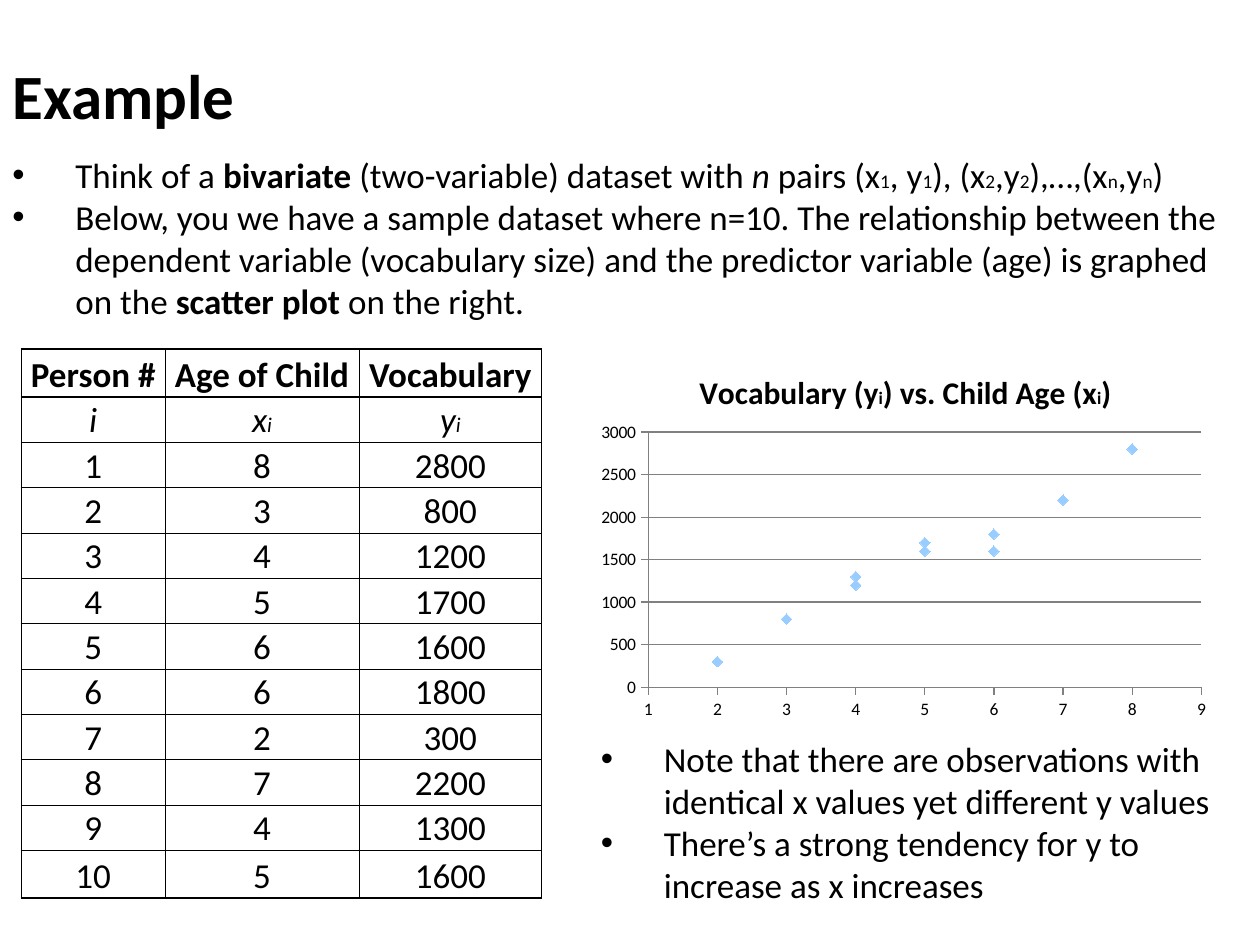
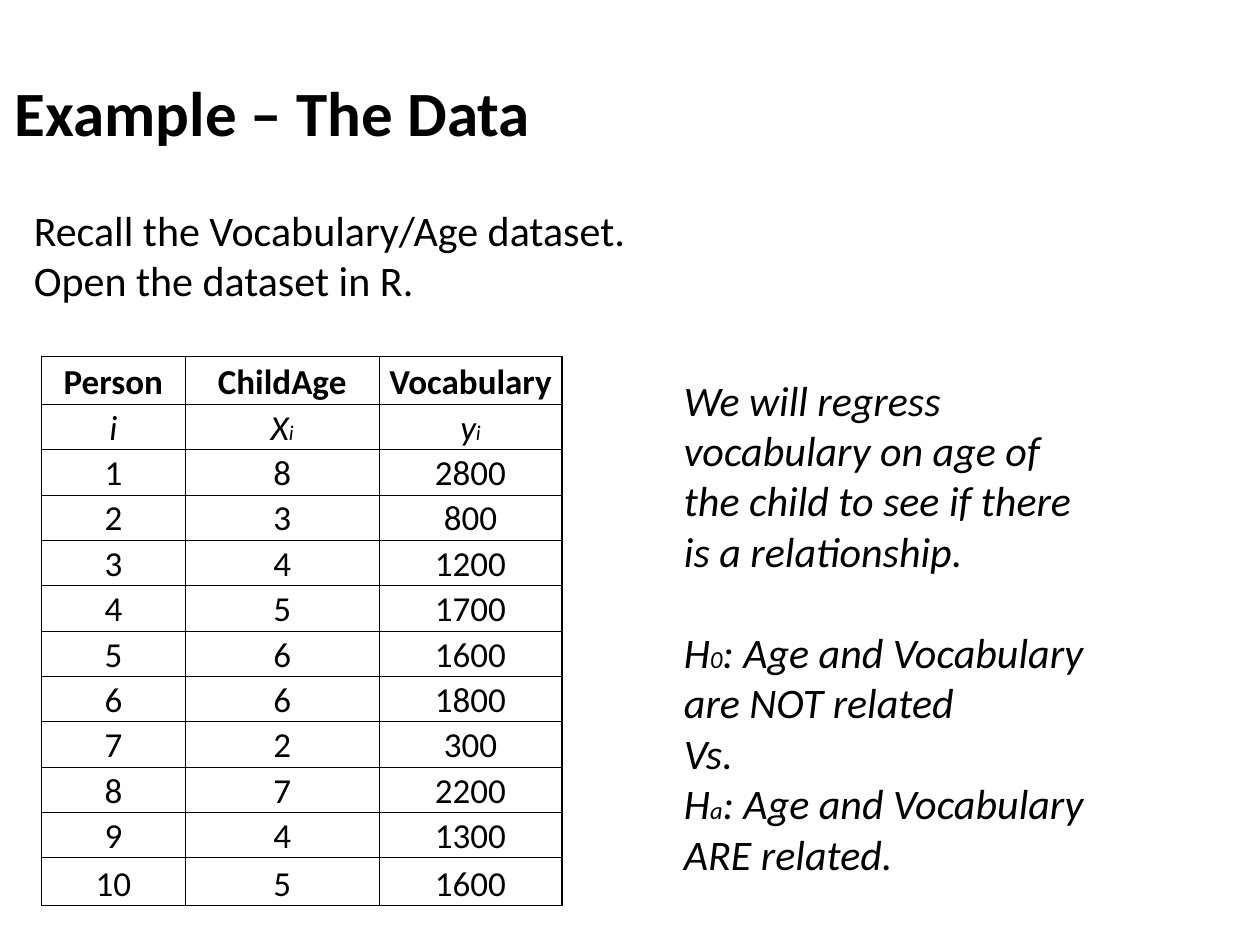
from dataclasses import dataclass
from typing import NamedTuple

from lxml import etree
from pptx import Presentation
from pptx import util as u
from pptx.chart import data as chart_data
from pptx.dml import color
from pptx.enum import chart as charts, text
from pptx.oxml import ns


@dataclass(frozen=True)
class Theme:
    font: str = "Calibri"
    ink: str = "000000"
    marker: str = "99CCFF"
    grid: str = "808080"
    title: int = 36
    chart_title: int = 18
    chart_subscript: int = 10
    statement: int = 24
    statement_subscript: int = 14
    body: int = 20
    body_subscript: int = 11
    cell_subscript: int = 12
    axis: int = 10
    heavy: float = 1
    thin: float = 0.5


class Span(NamedTuple):
    text: str
    size: float
    bold: bool = False
    italic: bool = False


class Para(NamedTuple):
    spans: list[Span]
    bullet: bool = False
    centred: bool = False
    space_before: float = 0


class Area(NamedTuple):
    left: float
    top: float
    width: float
    height: float

    def inches(self) -> list[u.Length]:
        return [u.Inches(value) for value in self]


THEME = Theme()
AGES = [8, 3, 4, 5, 6, 6, 2, 7, 4, 5]
VOCABULARY = [2800, 800, 1200, 1700, 1600, 1800, 300, 2200, 1300, 1600]
COLUMN_WIDTHS = [1.14, 1.54, 1.45]
EDGE_ROW, INNER_ROW = 0.38, 0.36


def rgb(value: str) -> color.RGBColor:
    return color.RGBColor.from_string(value)


def with_subscripts(pieces: str, size: float, small: float,
                    bold: bool = False, italic: bool = False) -> list[Span]:
    """Split at underscores; every second piece is a small index."""
    return [Span(piece, small if index % 2 else size, bold, italic)
            for index, piece in enumerate(pieces.split("_"))]


def add_bullet(para) -> None:
    properties = para._p.get_or_add_pPr()
    properties.set("marL", str(u.Inches(0.5)))
    properties.set("indent", str(-u.Inches(0.5)))
    etree.SubElement(properties, ns.qn("a:buFont"), typeface="Arial")
    etree.SubElement(properties, ns.qn("a:buChar"), char="•")


def write(frame, paras: list[Para]) -> None:
    for index, item in enumerate(paras):
        para = frame.add_paragraph() if index else frame.paragraphs[0]
        if item.bullet:
            add_bullet(para)
        if item.space_before:
            para.space_before = u.Pt(item.space_before)
        para.alignment = text.PP_ALIGN.CENTER if item.centred else text.PP_ALIGN.LEFT
        for span in item.spans:
            run = para.add_run()
            run.text = span.text
            run.font.name = THEME.font
            run.font.size = u.Pt(span.size)
            run.font.bold = span.bold
            run.font.italic = span.italic
            run.font.color.rgb = rgb(THEME.ink)


def add_text(page, area: Area, paras: list[Para], anchor=text.MSO_ANCHOR.TOP) -> None:
    frame = page.shapes.add_textbox(*area.inches()).text_frame
    frame.word_wrap = True
    frame.vertical_anchor = anchor
    write(frame, paras)


def add_title(page, area: Area, title: str) -> None:
    add_text(page, area, [Para([Span(title, THEME.title, bold=True)])],
             text.MSO_ANCHOR.MIDDLE)


def set_borders(cell, heavy_sides: dict[str, bool]) -> None:
    properties = cell._tc.get_or_add_tcPr()
    for side, heavy in heavy_sides.items():
        width = u.Pt(THEME.heavy if heavy else THEME.thin)
        line = etree.SubElement(properties, ns.qn(f"a:ln{side}"), w=str(width))
        fill = etree.SubElement(line, ns.qn("a:solidFill"))
        etree.SubElement(fill, ns.qn("a:srgbClr"), val=THEME.ink)


def add_dataset_table(page, left: float, top: float, headings: list[str],
                      age_symbol: str) -> None:
    header = [[Span(heading, THEME.body, bold=True)] for heading in headings]
    symbols = [with_subscripts(symbol, THEME.body, THEME.cell_subscript, italic=True)
               for symbol in ("i", f"{age_symbol}_i", "y_i")]
    records = [[[Span(str(value), THEME.body)] for value in record]
               for record in zip(range(1, len(AGES) + 1), AGES, VOCABULARY)]
    rows = [header, symbols, *records]
    last_row, last_column = len(rows) - 1, len(COLUMN_WIDTHS) - 1
    heights = [EDGE_ROW if row in (0, last_row) else INNER_ROW for row in range(len(rows))]
    area = Area(left, top, sum(COLUMN_WIDTHS), sum(heights))
    table = page.shapes.add_table(len(rows), len(COLUMN_WIDTHS), *area.inches()).table
    table.first_row = table.horz_banding = False
    for column, width in zip(table.columns, COLUMN_WIDTHS):
        column.width = u.Inches(width)
    for row, (entries, height) in enumerate(zip(rows, heights)):
        table.rows[row].height = u.Inches(height)
        for column, spans in enumerate(entries):
            cell = table.cell(row, column)
            cell.margin_left = cell.margin_right = 0
            cell.margin_top = cell.margin_bottom = 0
            cell.vertical_anchor = text.MSO_ANCHOR.BOTTOM
            write(cell.text_frame, [Para(spans, centred=True)])
            set_borders(cell, {"L": column == 0, "R": column == last_column,
                               "T": row in (0, 1), "B": row in (0, last_row)})
            cell.fill.background()


def place(element, index: int, **settings: object) -> None:
    """Give a chart part a manual layout."""
    previous = element.find(ns.qn("c:layout"))
    if previous is not None:
        element.remove(previous)
    layout = etree.Element(ns.qn("c:layout"))
    manual = etree.SubElement(layout, ns.qn("c:manualLayout"))
    for name, value in settings.items():
        etree.SubElement(manual, ns.qn(f"c:{name}"), val=str(value))
    element.insert(index, layout)


def style_axis(axis, low: float, high: float, step: float) -> None:
    axis.minimum_scale, axis.maximum_scale, axis.major_unit = low, high, step
    axis.major_tick_mark = charts.XL_TICK_MARK.OUTSIDE
    axis.minor_tick_mark = charts.XL_TICK_MARK.NONE
    axis.format.line.color.rgb = rgb(THEME.grid)
    axis.tick_labels.font.name = THEME.font
    axis.tick_labels.font.size = u.Pt(THEME.axis)
    axis.tick_labels.font.color.rgb = rgb(THEME.ink)


def add_scatter_plot(page, area: Area) -> None:
    points = chart_data.XyChartData()
    series_data = points.add_series("Series 1")
    for age, words in zip(AGES, VOCABULARY):
        series_data.add_data_point(age, words)
    chart = page.shapes.add_chart(charts.XL_CHART_TYPE.XY_SCATTER,
                                  *area.inches(), points).chart
    chart.has_legend = False
    chart.font.name = "Times New Roman"
    chart.font.size = u.Pt(THEME.axis)
    chart.font.color.rgb = rgb(THEME.ink)

    chart.has_title = True
    title = with_subscripts("Vocabulary (y_i_) vs. Child Age (x_i_)",
                            THEME.chart_title, THEME.chart_subscript, bold=True)
    write(chart.chart_title.text_frame, [Para(title, centred=True)])
    place(chart.chart_title._element, 1, xMode="edge", yMode="edge", x=0.17, y=0.05)
    place(chart._chartSpace.chart.plotArea, 0, layoutTarget="inner",
          xMode="edge", yMode="edge", x=0.095, y=0.22, w=0.878, h=0.675)

    style_axis(chart.category_axis, 1, 9, 1)
    style_axis(chart.value_axis, 0, 3000, 500)
    chart.category_axis.has_major_gridlines = False
    chart.value_axis.has_major_gridlines = True
    chart.value_axis.major_gridlines.format.line.color.rgb = rgb(THEME.grid)

    plot = chart.plots[0]
    plot.vary_by_categories = False
    series = plot.series[0]
    series.smooth = False
    series.format.line.fill.background()
    series.marker.style = charts.XL_MARKER_STYLE.DIAMOND
    series.marker.size = 6
    series.marker.format.fill.solid()
    series.marker.format.fill.fore_color.rgb = rgb(THEME.marker)
    series.marker.format.line.color.rgb = rgb(THEME.marker)


def build_example(page) -> None:
    size = THEME.body
    add_title(page, Area(0, 0.33, 9.25, 0.83), "Example")
    add_text(page, Area(0, 1.17, 10, 2.12), [
        Para([Span("Think of a ", size), Span("bivariate ", size, bold=True),
              Span("(two-variable) dataset with ", size), Span("n", size, italic=True),
              *with_subscripts(" pairs (x_1_, y_1_), (x_2_,y_2_),…,(x_n_,y_n_)",
                               size, THEME.body_subscript)], bullet=True),
        Para([Span("Below, you we have a sample dataset where n=10. The relationship "
                   "between the dependent variable (vocabulary size) and the predictor "
                   "variable (age) is graphed on the ", size),
              Span("scatter plot ", size, bold=True),
              Span("on the right.", size)], bullet=True),
    ])
    add_scatter_plot(page, Area(4.67, 2.77, 5, 3))
    add_dataset_table(page, 0.17, 2.77, ["Person #", "Age of Child", "Vocabulary"], "x")
    notes = ["Note that there are observations with identical x values yet different y values",
             "There’s a strong tendency for y to increase as x increases"]
    add_text(page, Area(4.67, 5.8, 5.08, 1.45),
             [Para([Span(note, size)], bullet=True) for note in notes])


def build_data(page) -> None:
    size = THEME.statement
    add_title(page, Area(0.02, 0.47, 8.67, 0.83), "Example – The Data")
    steps = ["Recall the Vocabulary/Age dataset.", "Open the dataset in R."]
    add_text(page, Area(0.17, 1.57, 9.42, 0.91),
             [Para([Span(step, size)]) for step in steps])
    add_dataset_table(page, 0.33, 2.83, ["Person", "ChildAge", "Vocabulary"], "X")
    statements = {
        "We will regress vocabulary on age of the child to see if there is a relationship.": 0,
        "H_0_: Age and Vocabulary are NOT related": 29,
        "Vs.": 0,
        "H_a_: Age and Vocabulary ARE related.": 0,
    }
    add_text(page, Area(5.33, 2.92, 3.5, 4.14), [
        Para(with_subscripts(words, size, THEME.statement_subscript, italic=True),
             space_before=gap)
        for words, gap in statements.items()])


def main() -> None:
    deck = Presentation()
    deck.slide_width, deck.slide_height = u.Inches(10), u.Inches(7.5)
    for build in (build_example, build_data):
        build(deck.slides.add_slide(deck.slide_layouts[6]))
    deck.save("out.pptx")


if __name__ == "__main__":
    main()
